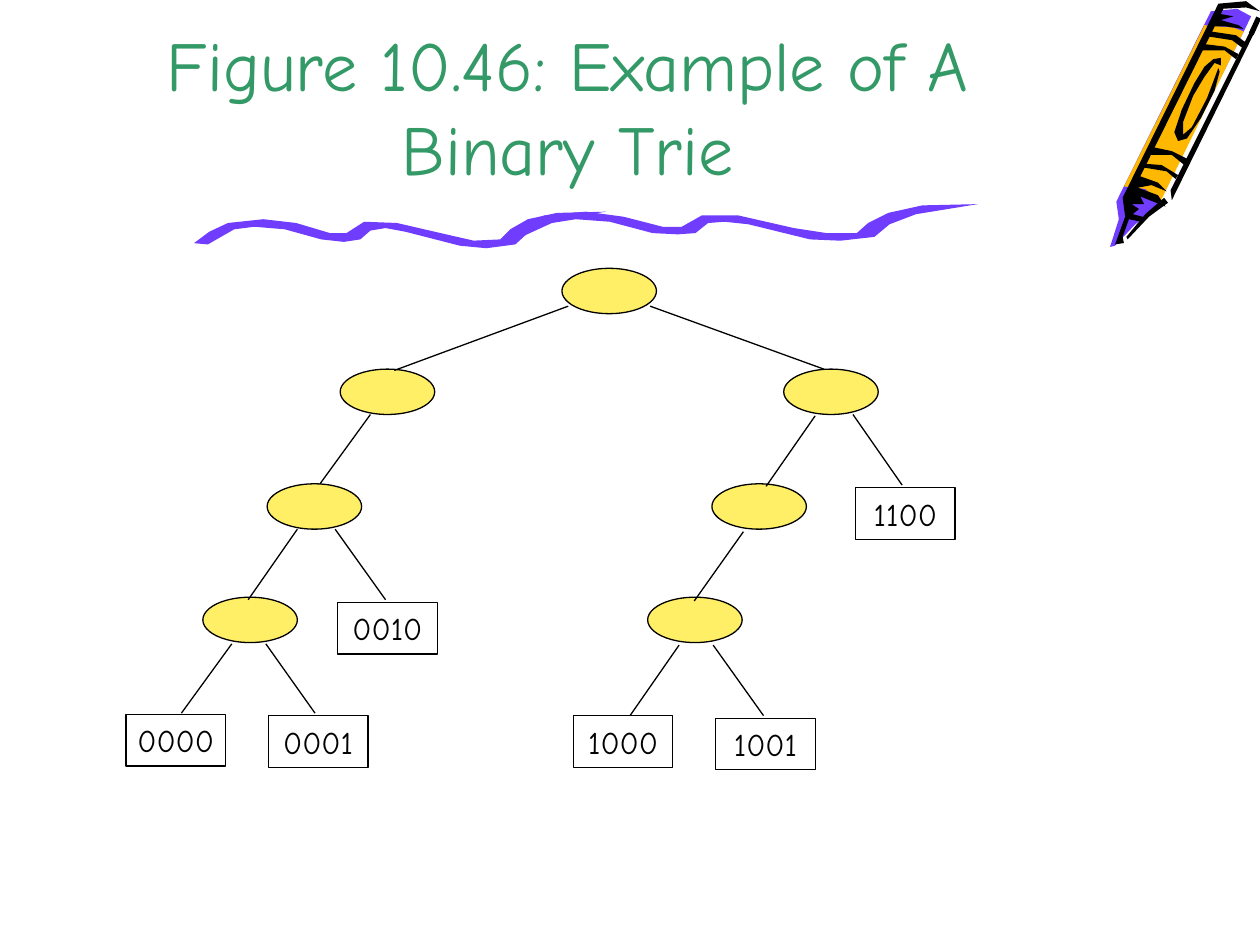
"""Build the slide showing an example of a binary trie."""
from dataclasses import dataclass

from lxml.etree import SubElement
from pptx import Presentation
from pptx.dml.color import RGBColor
from pptx.enum.shapes import MSO_CONNECTOR, MSO_SHAPE
from pptx.enum.text import MSO_ANCHOR, PP_ALIGN
from pptx.oxml.ns import qn
from pptx.shapes.base import BaseShape
from pptx.slide import Slide
from pptx.text.text import TextFrame
from pptx.util import Inches, Pt

COLORS = {"title": "339966", "node": "FFEF66", "ink": "000000", "purple": "703DFF", "orange": "FFB800"}
TITLE_FORMAT = {"name": "Comic Neue", "size": Pt(40), "bold": False}
LEAF_FORMAT = {"name": "Comic Neue", "size": Pt(18), "bold": False}
NODE_SIZE = (0.75, 0.36)
LEAF_SIZE = (0.79, 0.41)
THIN = 0.75


@dataclass(frozen=True)
class Outline:
    color: str
    points: tuple[tuple[float, float], ...]


@dataclass(frozen=True)
class Node:
    left: float
    top: float


@dataclass(frozen=True)
class Leaf:
    label: str
    left: float
    top: float


@dataclass(frozen=True)
class Edge:
    start: tuple[float, float]
    end: tuple[float, float]
    weight: float = THIN


CRAYON = (
    Outline("purple", (
        (9.93, 0.13), (9.17, 1.66), (9.01, 1.78), (8.85, 1.95), (8.81, 1.96), (8.88, 1.74),
        (8.86, 1.6), (9.61, 0.09), (9.82, 0.07))),
    Outline("orange", (
        (9.21, 1.6), (9.09, 1.5), (8.92, 1.48), (9.56, 0.2), (9.79, 0.22), (9.87, 0.25))),
    Outline("ink", (
        (9.27, 1.61), (9.12, 1.72), (8.95, 1.9), (8.94, 1.88), (9.09, 1.7), (9.24, 1.57))),
    Outline("ink", (
        (9.87, 0.23), (9.73, 0.21), (9.61, 0.21), (9.68, 0.11), (9.79, 0.13), (9.69, 0.16),
        (9.83, 0.2))),
    Outline("ink", (
        (9.68, 0.57), (9.64, 0.72), (9.53, 0.94), (9.42, 1.1), (9.35, 1.12), (9.32, 1.05),
        (9.38, 0.87), (9.48, 0.66), (9.56, 0.53), (9.63, 0.47), (9.69, 0.46), (9.69, 0.52),
        (9.64, 0.5), (9.56, 0.61), (9.47, 0.76), (9.39, 0.97), (9.39, 1.07), (9.46, 1.01),
        (9.58, 0.78), (9.67, 0.54))),
    Outline("ink", ((9.97, 0.23), (9.3, 1.59), (9.29, 1.51), (9.93, 0.23))),
    Outline("ink", (
        (9.25, 1.64), (9.19, 1.55), (9.03, 1.49), (9.14, 1.47), (9.26, 1.52), (9.19, 1.45),
        (9.05, 1.4), (9.71, 0.07), (9.89, 0.06), (10, 0.09), (9.89, 0.01), (9.67, 0.03),
        (8.91, 1.57), (8.93, 1.72), (8.85, 1.94), (8.92, 1.93), (8.91, 1.88), (8.96, 1.74),
        (9.05, 1.76), (9.1, 1.73), (8.99, 1.7), (9.04, 1.66), (8.98, 1.62), (9.08, 1.62),
        (9.05, 1.56))),
    Outline("ink", (
        (9.33, 1.42), (9.26, 1.36), (9.08, 1.33), (9.09, 1.3), (9.22, 1.31), (9.35, 1.39))),
    Outline("ink", (
        (9.4, 1.31), (9.3, 1.23), (9.13, 1.23), (9.16, 1.17), (9.3, 1.2), (9.42, 1.26))),
    Outline("ink", (
        (9.81, 0.47), (9.72, 0.4), (9.53, 0.4), (9.56, 0.35), (9.72, 0.37), (9.83, 0.43))),
    Outline("ink", (
        (9.86, 0.38), (9.78, 0.32), (9.59, 0.29), (9.61, 0.25), (9.81, 0.28), (9.89, 0.34))),
)
CRAYON_EDGE = Edge((9.99, 0.14), (9.93, 0.27), 3)
WAVES = (
    Outline("purple", (
        (1.65, 1.94), (1.86, 1.82), (2.02, 1.8), (2.26, 1.82), (2.55, 1.9), (2.73, 1.92),
        (2.86, 1.9), (2.94, 1.83), (3.06, 1.81), (3.22, 1.84), (3.65, 1.95), (3.86, 1.97),
        (4.09, 1.94), (4.2, 1.84), (4.38, 1.75), (4.81, 1.68), (4.42, 1.69), (4.19, 1.74),
        (4.05, 1.82), (3.97, 1.9), (3.76, 1.91), (3.54, 1.86), (3.15, 1.77), (2.89, 1.76),
        (2.75, 1.85), (2.62, 1.85), (2.35, 1.77), (2.09, 1.74), (1.81, 1.77), (1.66, 1.84),
        (1.54, 1.93))),
    Outline("purple", (
        (4.14, 1.88), (4.38, 1.77), (4.57, 1.74), (4.84, 1.76), (5.18, 1.85), (5.38, 1.86),
        (5.52, 1.85), (5.62, 1.77), (5.75, 1.76), (5.94, 1.78), (6.43, 1.9), (6.67, 1.91),
        (6.94, 1.88), (7.06, 1.78), (7.27, 1.7), (7.76, 1.62), (7.32, 1.63), (7.05, 1.69),
        (6.89, 1.77), (6.8, 1.85), (6.56, 1.85), (6.3, 1.81), (5.86, 1.71), (5.57, 1.71),
        (5.41, 1.8), (5.26, 1.8), (4.95, 1.72), (4.65, 1.68), (4.32, 1.71), (4.15, 1.78),
        (4.01, 1.88))),
)
NODES = (
    Node(4.46, 2.13),
    Node(2.7, 2.93), Node(2.12, 3.84), Node(1.61, 4.74),
    Node(6.22, 2.93), Node(5.65, 3.84), Node(5.14, 4.74),
)
LEAVES = (
    Leaf("0000", 1, 5.67), Leaf("0001", 2.13, 5.68), Leaf("0010", 2.68, 4.78),
    Leaf("1000", 4.55, 5.68), Leaf("1001", 5.68, 5.7), Leaf("1100", 6.79, 3.87),
)
EDGES = (
    Edge((4.51, 2.43), (3.13, 2.94)), Edge((5.16, 2.43), (6.54, 2.93)),
    Edge((2.94, 3.29), (2.54, 3.84)),
    Edge((2.36, 4.2), (1.97, 4.76)), Edge((2.66, 4.2), (3.06, 4.76)),
    Edge((1.84, 5.11), (1.44, 5.66)), Edge((2.11, 5.11), (2.5, 5.66)),
    Edge((6.47, 3.3), (6.08, 3.86)), Edge((6.77, 3.29), (7.16, 3.85)),
    Edge((5.9, 4.22), (5.51, 4.77)),
    Edge((5.39, 5.12), (5, 5.68)), Edge((5.66, 5.12), (6.06, 5.68)),
)


def rgb(color: str) -> RGBColor:
    return RGBColor.from_string(COLORS[color])


def write_text(frame: TextFrame, text: str, color: str, font_format: dict) -> None:
    paragraph = frame.paragraphs[0]
    paragraph.text = text
    paragraph.alignment = PP_ALIGN.CENTER
    for attribute, value in font_format.items():
        setattr(paragraph.font, attribute, value)
    paragraph.font.color.rgb = rgb(color)


def draw_outline(slide: Slide, outline: Outline) -> None:
    first, *others = [(Inches(x), Inches(y)) for x, y in outline.points]
    builder = slide.shapes.build_freeform(*first)
    builder.add_line_segments(others, close=True)
    shape = builder.convert_to_shape()
    shape.shadow.inherit = False
    shape.fill.solid()
    shape.fill.fore_color.rgb = rgb(outline.color)
    shape.line.fill.background()


def draw_edge(slide: Slide, edge: Edge) -> None:
    ends = [Inches(value) for value in (*edge.start, *edge.end)]
    connector = slide.shapes.add_connector(MSO_CONNECTOR.STRAIGHT, *ends)
    connector.line.color.rgb = rgb("ink")
    connector.line.width = Pt(edge.weight)
    SubElement(connector.element.spPr, qn("a:effectLst"))


def draw_preset(slide: Slide, kind: MSO_SHAPE, item: Node | Leaf, size: tuple[float, float]) -> BaseShape:
    box = [Inches(value) for value in (item.left, item.top, *size)]
    shape = slide.shapes.add_shape(kind, *box)
    shape.shadow.inherit = False
    shape.line.color.rgb = rgb("ink")
    shape.line.width = Pt(THIN)
    return shape


def draw_node(slide: Slide, node: Node) -> None:
    shape = draw_preset(slide, MSO_SHAPE.OVAL, node, NODE_SIZE)
    shape.fill.solid()
    shape.fill.fore_color.rgb = rgb("node")


def draw_leaf(slide: Slide, leaf: Leaf) -> None:
    shape = draw_preset(slide, MSO_SHAPE.RECTANGLE, leaf, LEAF_SIZE)
    shape.fill.background()
    frame = shape.text_frame
    frame.word_wrap = False
    frame.vertical_anchor = MSO_ANCHOR.MIDDLE
    write_text(frame, leaf.label, "ink", LEAF_FORMAT)


def draw_title(slide: Slide, text: str) -> None:
    box = [Inches(value) for value in (0.75, 0, 7.51, 1.55)]
    frame = slide.shapes.add_textbox(*box).text_frame
    frame.word_wrap = True
    frame.vertical_anchor = MSO_ANCHOR.BOTTOM
    write_text(frame, text, "title", TITLE_FORMAT)


def main() -> None:
    presentation = Presentation()
    presentation.slide_width = Inches(10)
    presentation.slide_height = Inches(7.5)
    slide = presentation.slides.add_slide(presentation.slide_layouts[6])
    for outline in CRAYON + WAVES:
        draw_outline(slide, outline)
    draw_edge(slide, CRAYON_EDGE)
    draw_title(slide, "Figure 10.46: Example of A Binary Trie")
    for draw, items in ((draw_node, NODES), (draw_edge, EDGES), (draw_leaf, LEAVES)):
        for item in items:
            draw(slide, item)
    presentation.save("out.pptx")


if __name__ == "__main__":
    main()
